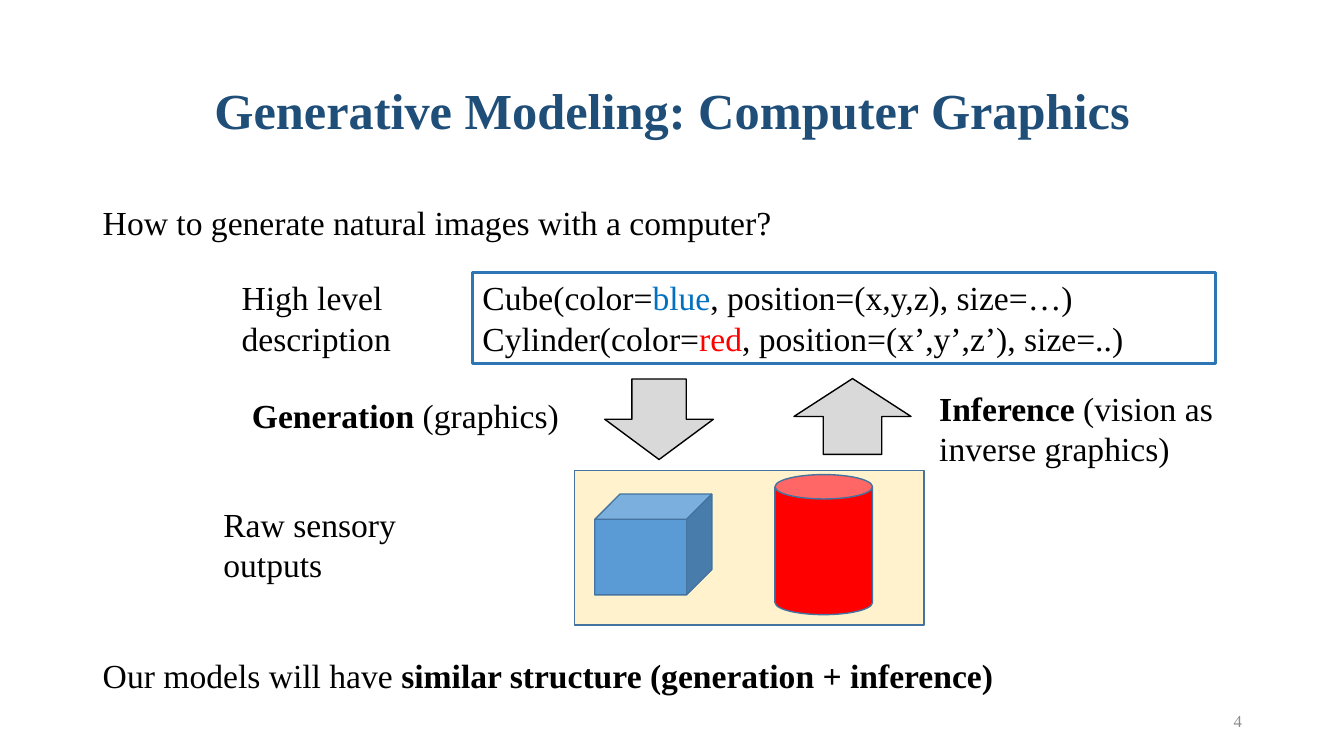
from pptx import Presentation
from pptx.dml.color import RGBColor
from pptx.enum.shapes import MSO_SHAPE
from pptx.enum.text import MSO_ANCHOR, PP_ALIGN
from pptx.util import Cm, Pt

FONT = "Times New Roman"
TITLE_ONLY = 5
CENTER, LEFT, RIGHT = PP_ALIGN.CENTER, PP_ALIGN.LEFT, PP_ALIGN.RIGHT
TOP, MIDDLE = MSO_ANCHOR.TOP, MSO_ANCHOR.MIDDLE
RECTANGLE, CUBE, CAN = MSO_SHAPE.RECTANGLE, MSO_SHAPE.CUBE, MSO_SHAPE.CAN
DOWN_ARROW, UP_ARROW = MSO_SHAPE.DOWN_ARROW, MSO_SHAPE.UP_ARROW


def color(value):
    return RGBColor.from_string(value)


def place(shape, left, top, width, height):
    shape.left, shape.top = Cm(left), Cm(top)
    shape.width, shape.height = Cm(width), Cm(height)


def write(shape, *lines, size=24, fill="000000", align=LEFT, anchor=TOP, spacing=1.0):
    frame = shape.text_frame
    frame.word_wrap = True
    frame.vertical_anchor = anchor
    for index, line in enumerate(lines):
        paragraph = frame.add_paragraph() if index else frame.paragraphs[0]
        paragraph.alignment = align
        paragraph.line_spacing = spacing
        for text, bold, run_color in line:
            run = paragraph.add_run()
            run.text = text
            run.font.name = FONT
            run.font.size = Pt(size)
            run.font.bold = bold
            run.font.color.rgb = color(run_color or fill)


def plain(text, run_color=None):
    return text, False, run_color


def strong(text):
    return text, True, None


def add_text(slide, box, *lines, **style):
    shape = slide.shapes.add_textbox(*map(Cm, box))
    write(shape, *lines, **style)
    return shape


def add_figure(slide, kind, box, fill, line):
    shape = slide.shapes.add_shape(kind, *map(Cm, box))
    shape.shadow.inherit = False
    shape.fill.solid()
    shape.fill.fore_color.rgb = color(fill)
    shape.line.color.rgb = color(line)
    shape.line.width = Pt(1)


def add_description(slide):
    add_text(slide, (5.84, 6.86, 5.31, 2.31), [plain("High level description")])
    code = add_text(
        slide, (11.91, 6.86, 18.72, 2.31),
        [plain("Cube(color="), plain("blue", "0070C0"), plain(", position=(x,y,z), size=…)")],
        [plain("Cylinder(color="), plain("red", "FF0000"), plain(", position=(x’,y’,z’), size=..)")],
    )
    code.line.color.rgb = color("2E75B6")
    code.line.width = Pt(2.25)


def add_directions(slide):
    add_figure(slide, DOWN_ARROW, (15.24, 9.55, 2.74, 2.03), "D9D9D9", "000000")
    add_figure(slide, UP_ARROW, (20.01, 9.54, 2.95, 1.91), "D9D9D9", "000000")
    add_text(slide, (6.1, 9.83, 9.14, 1.27), [strong("Generation"), plain(" (graphics)")])
    add_text(slide, (23.42, 9.65, 8.1, 2.31),
             [strong("Inference"), plain(" (vision as inverse graphics)")])


def add_scene(slide):
    add_text(slide, (5.38, 12.57, 5.87, 2.31), [plain("Raw sensory outputs")])
    for kind, box, fill in (
        (RECTANGLE, (14.48, 11.86, 8.81, 3.89), "FFF2CC"),
        (CUBE, (14.99, 12.45, 2.95, 2.54), "5B9BD5"),
        (CAN, (19.53, 11.96, 2.46, 3.53), "FF0000"),
    ):
        add_figure(slide, kind, box, fill, "43739E")


def main():
    presentation = Presentation()
    presentation.slide_width, presentation.slide_height = Cm(33.87), Cm(19.05)
    slide = presentation.slides.add_slide(presentation.slide_layouts[TITLE_ONLY])
    title = slide.shapes.title
    place(title, 2.34, 1.02, 29.21, 3.68)
    write(title, [strong("Generative Modeling: Computer Graphics")],
          size=36, fill="1F4E79", align=CENTER, anchor=MIDDLE, spacing=0.9)
    add_text(slide, (2.34, 5.08, 29.21, 1.2),
             [plain("How to generate natural images with a computer?")], spacing=0.9)
    add_description(slide)
    add_directions(slide)
    add_scene(slide)
    add_text(slide, (2.34, 16.5, 29.21, 1.2),
             [plain("Our models will have "), strong("similar structure (generation + inference)")],
             spacing=0.9)
    add_text(slide, (23.93, 17.65, 7.62, 1.02), [plain("4")],
             size=12, fill="8C8C8C", align=RIGHT, anchor=MIDDLE)
    presentation.save("out.pptx")


if __name__ == "__main__":
    main()
